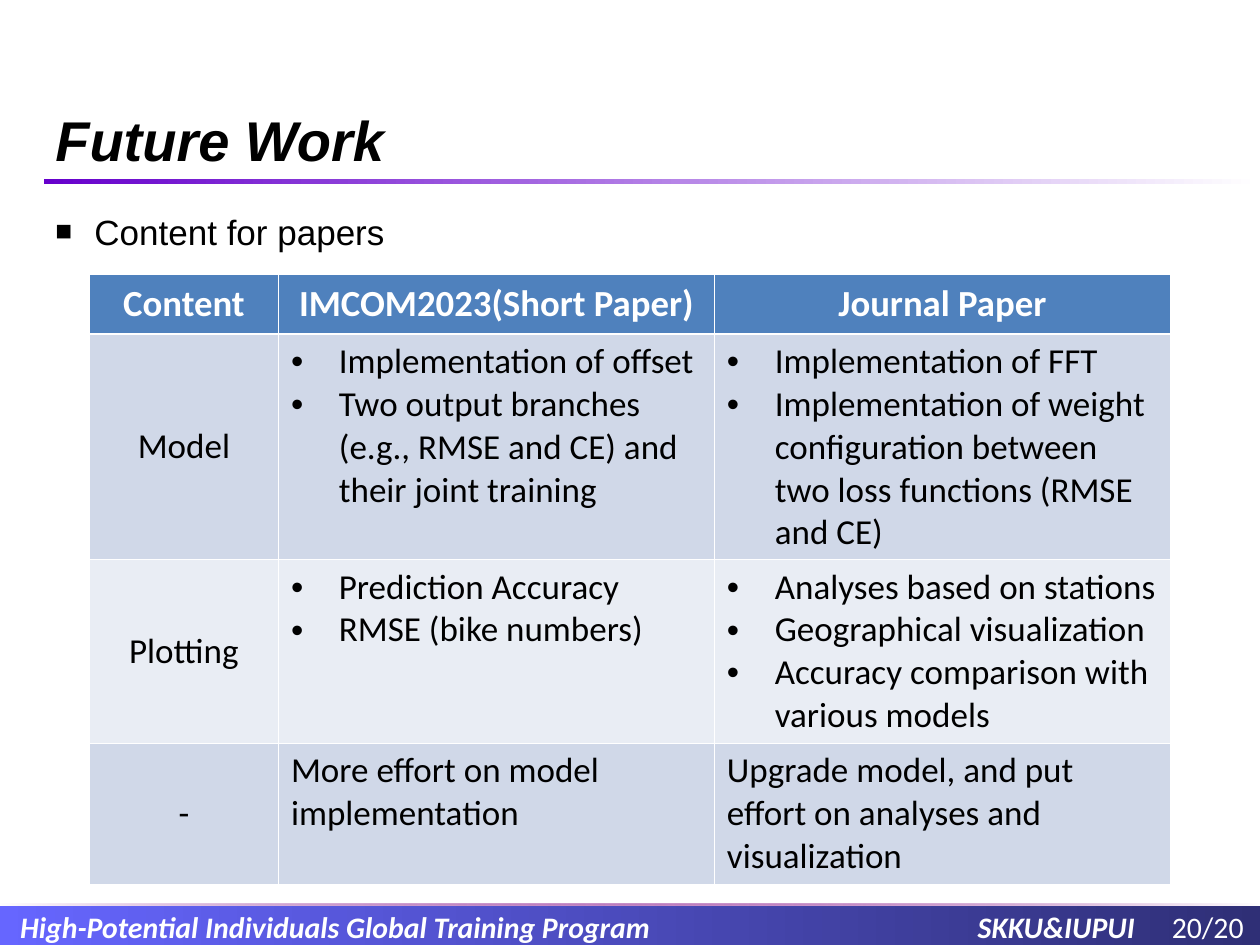
from copy import deepcopy
from dataclasses import dataclass

from lxml import etree
from pptx import Presentation
from pptx.dml.color import RGBColor
from pptx.enum import shapes, text
from pptx.oxml.ns import qn
from pptx.util import Inches, Pt

COLORS = {
    "black": "000000", "white": "FFFFFF", "header": "4F81BD",
    "band_dark": "D0D8E8", "band_light": "E9EDF4",
    "footer_start": "6666FF", "footer_end": "2F2F76",
    "purple": "800080", "violet": "6600CC",
}
COLUMN_WIDTHS = (1.5, 3.46, 3.62)
HEADERS = ("Content", "IMCOM2023(Short Paper)", "Journal Paper")


@dataclass
class PaperRow:
    label: str
    short_paper: list[str]
    journal: list[str]
    height: float
    fill: str
    bullet: str = "•"


ROWS = [
    PaperRow("Model",
             ["Implementation of offset",
              "Two output branches (e.g., RMSE and CE) and their joint training"],
             ["Implementation of FFT",
              "Implementation of weight configuration between two loss functions (RMSE and CE)"],
             1.79, "band_dark"),
    PaperRow("Plotting",
             ["Prediction Accuracy", "RMSE (bike numbers)"],
             ["Analyses based on stations", "Geographical visualization",
              "Accuracy comparison with various models"],
             1.46, "band_light"),
    PaperRow("-",
             ["More effort on model implementation"],
             ["Upgrade model, and put effort on analyses and visualization"],
             1.12, "band_dark", bullet=""),
]


def rgb(name: str) -> RGBColor:
    return RGBColor.from_string(COLORS[name])


def add_run(paragraph, content: str, *, size: float = 20, font: str = "Calibri",
            color: str = "black", bold: bool = False, italic: bool = False) -> None:
    run = paragraph.add_run()
    run.text = content
    run.font.size, run.font.name = Pt(size), font
    run.font.bold, run.font.italic = bold, italic
    run.font.color.rgb = rgb(color)


def add_bullet(paragraph, symbol: str, indent: float, percent: int = 100) -> None:
    properties = paragraph._p.get_or_add_pPr()
    properties.set("marL", str(Inches(indent)))
    properties.set("indent", str(-Inches(indent)))
    etree.SubElement(properties, qn("a:buSzPct"), val=str(percent * 1000))
    etree.SubElement(properties, qn("a:buFont"), typeface="Arial")
    etree.SubElement(properties, qn("a:buChar"), char=symbol)


def add_tabs(paragraph, *positions: float) -> None:
    tabs = etree.SubElement(paragraph._p.get_or_add_pPr(), qn("a:tabLst"))
    for position in positions:
        etree.SubElement(tabs, qn("a:tab"), pos=str(Inches(position)), algn="l")


def add_gradient_bar(slide, left: float, top: float, width: float, height: float,
                     start: str, end: str):
    bar = slide.shapes.add_shape(shapes.MSO_SHAPE.RECTANGLE, Inches(left), Inches(top),
                                 Inches(width), Inches(height))
    bar.shadow.inherit = False
    bar.line.fill.background()
    bar.fill.gradient()
    bar.fill.gradient_angle = 0
    for stop, color, position in zip(bar.fill.gradient_stops, (start, end), (0, 1)):
        stop.color.rgb = rgb(color)
        stop.position = position
    return bar


def add_middle_stop(bar, color: str, opacity: int) -> None:
    stops = bar._element.spPr.find(".//" + qn("a:gsLst"))
    middle = deepcopy(stops[0])
    middle.set("pos", "50000")
    middle[0].set("val", COLORS[color])
    etree.SubElement(middle[0], qn("a:alpha"), val=str(opacity * 1000))
    stops.insert(1, middle)


def add_footer(slide) -> None:
    bar = add_gradient_bar(slide, 0, 7.19, 10, 0.32, "footer_start", "footer_end")
    frame = bar.text_frame
    frame.word_wrap = True
    frame.margin_left, frame.margin_right = Inches(0.16), Inches(0.05)
    frame.vertical_anchor = text.MSO_ANCHOR.MIDDLE
    paragraph = frame.paragraphs[0]
    paragraph.alignment = text.PP_ALIGN.LEFT
    add_tabs(paragraph, 7.6, 9.14)
    add_run(paragraph, "High-Potential Individuals Global Training Program\tSKKU&IUPUI\t",
            size=17, color="white", bold=True, italic=True)
    add_run(paragraph, "20/20", size=17, color="white")
    rule = add_gradient_bar(slide, 0, 7.17, 10, 0.02, "white", "white")
    add_middle_stop(rule, "purple", 50)


def add_heading(slide) -> None:
    add_gradient_bar(slide, 0.35, 1.42, 9.65, 0.04, "violet", "white")
    title = slide.shapes.title
    title.left, title.top = Inches(0.33), Inches(0.17)
    title.width, title.height = Inches(9.42), Inches(1.25)
    frame = title.text_frame
    frame.auto_size = text.MSO_AUTO_SIZE.NONE
    frame.vertical_anchor = text.MSO_ANCHOR.BOTTOM
    frame.margin_left = frame.margin_right = Inches(0.11)
    frame.paragraphs[0].alignment = text.PP_ALIGN.LEFT
    add_run(frame.paragraphs[0], "Future Work", size=32, font="Arial", bold=True, italic=True)

    body = slide.shapes.add_textbox(Inches(0.33), Inches(1.62), Inches(9.47), Inches(0.5))
    body.text_frame.word_wrap = True
    body.text_frame.margin_left = Inches(0.11)
    paragraph = body.text_frame.paragraphs[0]
    add_bullet(paragraph, "■", 0.31, percent=80)
    add_run(paragraph, "Content for papers", font="Arial")


def fill_cell(cell, lines: list[str], fill: str, *, bullet: str = "",
              centered: bool = False, **font) -> None:
    cell.fill.solid()
    cell.fill.fore_color.rgb = rgb(fill)
    frame = cell.text_frame
    for index, line in enumerate(lines):
        paragraph = frame.add_paragraph() if index else frame.paragraphs[0]
        if centered:
            paragraph.alignment = text.PP_ALIGN.CENTER
        if bullet:
            add_bullet(paragraph, bullet, 0.38)
        add_run(paragraph, line, **font)


def add_paper_table(slide) -> None:
    heights = [0.47] + [row.height for row in ROWS]
    table = slide.shapes.add_table(len(heights), len(COLUMN_WIDTHS), Inches(0.71), Inches(2.18),
                                   Inches(sum(COLUMN_WIDTHS)), Inches(sum(heights))).table
    for column, width in zip(table.columns, COLUMN_WIDTHS):
        column.width = Inches(width)
    for table_row, height in zip(table.rows, heights):
        table_row.height = Inches(height)
    for index, header in enumerate(HEADERS):
        fill_cell(table.cell(0, index), [header], "header", centered=True,
                  size=21, color="white", bold=True)
    for index, row in enumerate(ROWS, start=1):
        label = table.cell(index, 0)
        fill_cell(label, [row.label], row.fill, centered=True)
        label.vertical_anchor = text.MSO_ANCHOR.MIDDLE
        fill_cell(table.cell(index, 1), row.short_paper, row.fill, bullet=row.bullet)
        fill_cell(table.cell(index, 2), row.journal, row.fill, bullet=row.bullet)


def main() -> None:
    presentation = Presentation()
    presentation.slide_width, presentation.slide_height = Inches(10), Inches(7.5)
    slide = presentation.slides.add_slide(presentation.slide_layouts.get_by_name("Title Only"))
    add_footer(slide)
    add_heading(slide)
    add_paper_table(slide)
    presentation.save("out.pptx")


if __name__ == "__main__":
    main()
